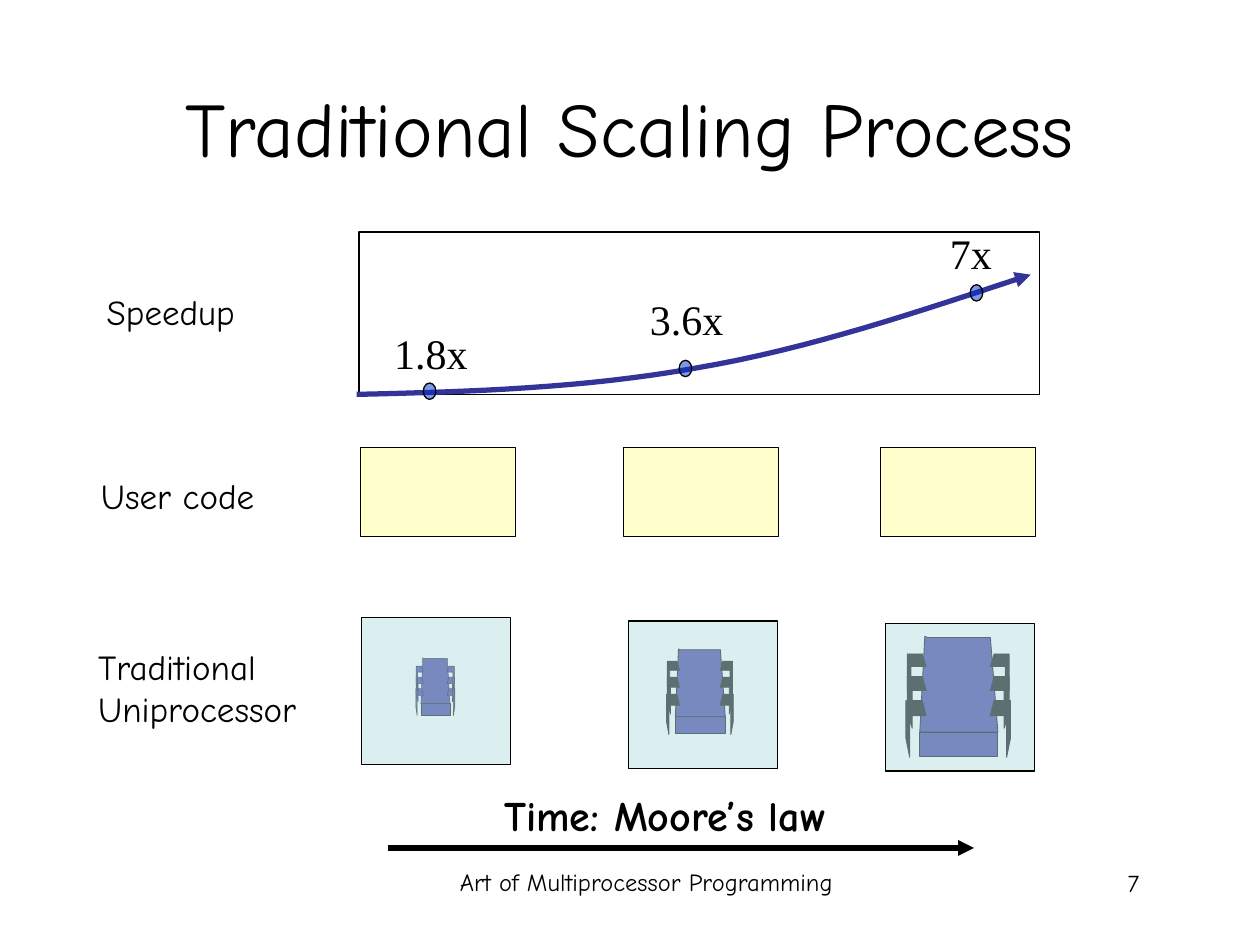
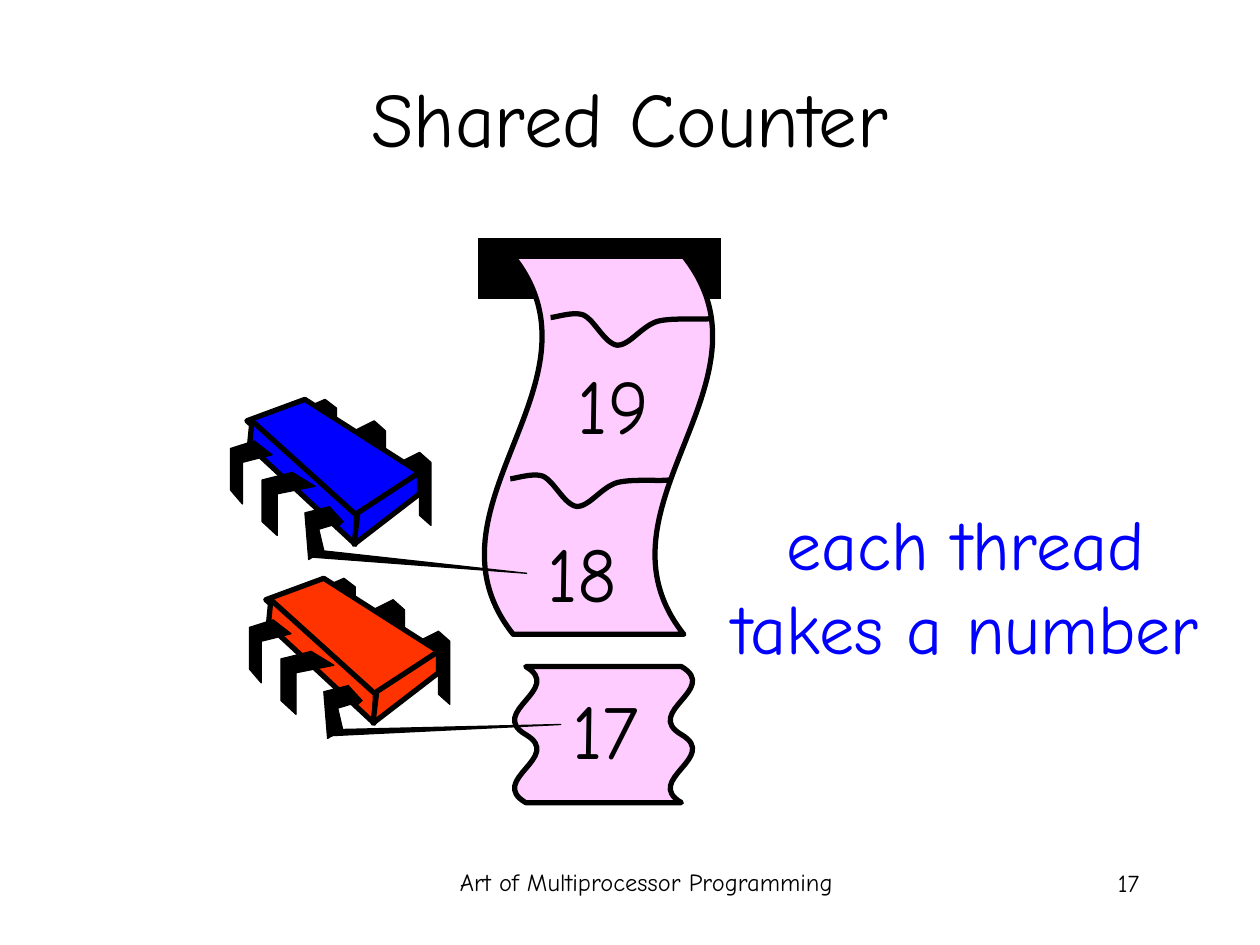
"""Build two slides: the traditional scaling process and a shared counter."""
from dataclasses import dataclass
from typing import Optional

import pptx
import pptx.dml.color
import pptx.enum.shapes
import pptx.enum.text
import pptx.oxml
import pptx.oxml.ns
import pptx.shapes.autoshape
import pptx.slide
import pptx.util

RGB = pptx.dml.color.RGBColor
SHAPES = pptx.enum.shapes.MSO_SHAPE
ALIGN = pptx.enum.text.PP_ALIGN
ANCHOR = pptx.enum.text.MSO_ANCHOR
AUTO_SIZE = pptx.enum.text.MSO_AUTO_SIZE

EMU_PER_PX = 9144
BLACK = RGB(0x00, 0x00, 0x00)
WHITE = RGB(0xFF, 0xFF, 0xFF)
BLUE = RGB(0x00, 0x00, 0xFF)
ORANGE = RGB(0xFF, 0x33, 0x00)
INDIGO = RGB(0x33, 0x33, 0x99)
MARKER_BLUE = RGB(0x00, 0x33, 0xCC)
CODE_YELLOW = RGB(0xFF, 0xFF, 0xCC)
PANEL_TEAL = RGB(0xBB, 0xE0, 0xE3)
TICKET_PINK = RGB(0xFF, 0xCC, 0xFF)
FONT = "Comic Neue"
SPEEDUP_FONT = "Times New Roman"
THIN, THICK = 0.75, 3

Point = tuple[float, float]
Frame = tuple[int, int, int, int]


@dataclass(frozen=True)
class Label:
    """Text in a frame; a line break starts a new paragraph."""
    text: str
    frame: Frame
    size: int
    align: ALIGN = ALIGN.CENTER
    color: RGB = BLACK
    font: str = FONT
    bold: bool = False
    wrap: bool = False
    grow: bool = True
    anchor: ANCHOR = ANCHOR.TOP


@dataclass(frozen=True)
class Paint:
    """Fill and outline of a shape."""
    fill: Optional[RGB] = None
    alpha: int = 100
    line: RGB = BLACK
    width: float = THIN


@dataclass(frozen=True)
class Stage:
    """One step of the scaling process, from speedup down to processor."""
    speedup: Label
    marker: Point
    code_left: int
    panel: Point
    chip: Frame
    leg_color: RGB
    chip_line: float


@dataclass(frozen=True)
class Thread:
    """A processor that reaches for a ticket."""
    shift: Point
    color: RGB
    arm_tip: Point


STAGES = (
    Stage(Label("1.8x", (303, 255, 78, 50), 24, font=SPEEDUP_FONT), (336, 304), 286,
          (287, 490), (330, 522, 31, 46), INDIGO, 0.25),
    Stage(Label("3.6x", (506, 228, 78, 50), 24, font=SPEEDUP_FONT), (539, 286), 495,
          (499, 493), (529, 515, 53, 68), BLACK, 0.5),
    Stage(Label("7x", (744, 176, 53, 50), 24, font=SPEEDUP_FONT), (770, 226), 699,
          (703, 495), (719, 505, 83, 96), BLACK, 0.5),
)
SCALING_LABELS = (
    Label("Speedup", (70, 226, 131, 43), 20),
    Label("User code", (65, 372, 152, 43), 20),
    Label("Traditional\nUniprocessor", (68, 507, 201, 77), 20, ALIGN.LEFT, wrap=True),
    Label("Time: Moore’s law", (371, 622, 314, 50), 24, bold=True),
)
SPEEDUP_CURVE = ((283, 313), (374, 311), (464, 308), (553, 292), (642, 277), (730, 247), (818, 218))

CHIP_SIZE = (83, 96)
CHIP_BODY = ((17, 1), (67, 1), (73, 76), (11, 76), (15, 0))
CHIP_BASE = ((11, 76), (73, 76), (73, 95), (11, 95))
CHIP_LEGS = (
    ((70, 51), (83, 51), (83, 81), (80, 96), (80, 63), (67, 63)),
    ((70, 32), (82, 32), (82, 60), (78, 73), (78, 43), (67, 43)),
    ((70, 14), (82, 14), (82, 42), (79, 55), (79, 24), (67, 24)),
)

FAR_PIN_SIZE = (25, 58)
FAR_PIN = ((0, 8), (16, 0), (25, 8), (25, 58), (16, 50), (16, 16), (0, 25))
FAR_PIN_FRAMES = ((317, 359, 25, 58), (281, 334, 25, 58), (242, 317, 25, 50))
NEAR_PIN_SIZE = (42, 50)
NEAR_PIN = ((24, 0), (42, 11), (12, 17), (12, 50), (0, 39), (0, 6))
NEAR_PIN_FRAMES = ((208, 375, 42, 50), (183, 350, 33, 50))
THREAD_FACES = (
    ((242, 317), (333, 375), (282, 410), (196, 334)),
    ((200, 334), (283, 409), (282, 432), (198, 354)),
    ((333, 375), (333, 392), (281, 432), (284, 407)),
)
ARM_BASE = ((245, 442), (255, 437))
HAND = ((262, 402), (242, 407), (245, 444), (257, 437), (253, 420), (273, 414))
THREADS = (Thread((0, 0), BLUE, (418, 455)), Thread((15, 142), ORANGE, (445, 575)))

TEAR = ((437, 252), (441, 252), (455, 247), (463, 250), (472, 254), (480, 273), (490, 274),
        (500, 274), (509, 259), (522, 255), (534, 252), (555, 254), (563, 253))
TEAR_SHIFTS = ((0, 0), (-32, 128))
COUNTER_LABELS = (
    Label("17", (432, 537, 85, 83), 44, ALIGN.RIGHT),
    Label("18", (415, 412, 85, 83), 44, ALIGN.RIGHT),
    Label("19", (440, 279, 85, 83), 44, ALIGN.RIGHT),
)
CALLOUT = Label("each thread takes a number", (550, 392, 433, 143), 40, color=BLUE, wrap=True)


def px(length: float) -> int:
    """Turn px into EMU."""
    return round(length * EMU_PER_PX)


def moved(points: tuple[Point, ...], shift: Point) -> list[Point]:
    """Shift points by an offset."""
    return [(x + shift[0], y + shift[1]) for x, y in points]


def fitted(points: tuple[Point, ...], size: Point, frame: Frame) -> list[Point]:
    """Scale an outline of a given size into a frame."""
    left, top, width, height = frame
    return [(left + x * width / size[0], top + y * height / size[1]) for x, y in points]


def smoothed(knots: list[Point], steps: int = 16) -> list[Point]:
    """Sample a chain of cubic curves."""
    points = [knots[0]]
    for start in range(0, len(knots) - 1, 3):
        for step in range(1, steps + 1):
            t = step / steps
            weights = ((1 - t) ** 3, 3 * t * (1 - t) ** 2, 3 * t * t * (1 - t), t ** 3)
            curve = knots[start:start + 4]
            points.append(tuple(sum(w * knot[axis] for w, knot in zip(weights, curve))
                                for axis in (0, 1)))
    return points


def add_child(parent, tag: str, **attributes: str) -> None:
    """Append a drawing element to a parent."""
    child = pptx.oxml.parse_xml(f"<a:{tag} {pptx.oxml.ns.nsdecls('a')}/>")
    for name, value in attributes.items():
        child.set(name, value)
    parent.append(child)


def add_arrowhead(shape) -> None:
    """Put a triangle at the end of a line."""
    add_child(shape.line._get_or_add_ln(), "tailEnd", type="triangle")


def paint_shape(shape: pptx.shapes.autoshape.Shape, paint: Paint) -> None:
    """Set fill, outline and shadow."""
    shape.shadow.inherit = False
    shape.line.color.rgb = paint.line
    shape.line.width = pptx.util.Pt(paint.width)
    if paint.fill is None:
        shape.fill.background()
        return
    shape.fill.solid()
    shape.fill.fore_color.rgb = paint.fill
    if paint.alpha < 100:
        color = shape._element.spPr.find(".//" + pptx.oxml.ns.qn("a:srgbClr"))
        add_child(color, "alpha", val=str(paint.alpha * 1000))


def add_preset(page: pptx.slide.Slide, kind: SHAPES, frame: Frame,
               paint: Paint) -> pptx.shapes.autoshape.Shape:
    """Draw a preset shape."""
    shape = page.shapes.add_shape(kind, *map(px, frame))
    paint_shape(shape, paint)
    return shape


def add_outline(page: pptx.slide.Slide, points: list[Point], paint: Paint,
                close: bool = True) -> pptx.shapes.autoshape.Shape:
    """Draw a freeform through points."""
    corners = [(px(x), px(y)) for x, y in points]
    builder = page.shapes.build_freeform(*corners[0])
    builder.add_line_segments(corners[1:], close=close)
    shape = builder.convert_to_shape()
    paint_shape(shape, paint)
    return shape


def add_label(page: pptx.slide.Slide, label: Label) -> None:
    """Draw a text box."""
    frame = page.shapes.add_textbox(*map(px, label.frame)).text_frame
    frame.word_wrap = label.wrap
    frame.auto_size = AUTO_SIZE.SHAPE_TO_FIT_TEXT if label.grow else AUTO_SIZE.NONE
    frame.vertical_anchor = label.anchor
    for index, line in enumerate(label.text.split("\n")):
        para = frame.add_paragraph() if index else frame.paragraphs[0]
        para.alignment = label.align
        span = para.add_run()
        span.text = line
        span.font.name = label.font
        span.font.size = pptx.util.Pt(label.size)
        span.font.bold = label.bold
        span.font.color.rgb = label.color


def add_page(deck, title: str, title_frame: Frame, number: int) -> pptx.slide.Slide:
    """Add a blank page with footer, number and title."""
    page = deck.slides.add_slide(deck.slide_layouts[6])
    for label in (
        Label("Art of Multiprocessor Programming", (342, 683, 342, 52), 14, wrap=True, grow=False),
        Label(str(number), (706, 684, 208, 50), 14, ALIGN.RIGHT, wrap=True, grow=False),
        Label(title, title_frame, 44, wrap=True, grow=False, anchor=ANCHOR.MIDDLE),
    ):
        add_label(page, label)
    return page


def add_chip(page: pptx.slide.Slide, stage: Stage) -> None:
    """Draw a processor seen from above, with mirrored legs."""
    body = Paint(INDIGO, width=stage.chip_line)
    legs = Paint(stage.leg_color, width=stage.chip_line)
    for part in (CHIP_BASE, CHIP_BODY):
        add_outline(page, fitted(part, CHIP_SIZE, stage.chip), body)
    for leg in CHIP_LEGS:
        mirrored = tuple((CHIP_SIZE[0] - x, y) for x, y in leg)
        for side in (leg, mirrored):
            add_outline(page, fitted(side, CHIP_SIZE, stage.chip), legs)


def add_thread(page: pptx.slide.Slide, thread: Thread) -> None:
    """Draw a processor with pins and a reaching arm."""
    black = Paint(BLACK)
    for frame in FAR_PIN_FRAMES:
        add_outline(page, moved(fitted(FAR_PIN, FAR_PIN_SIZE, frame), thread.shift), black)
    for face in THREAD_FACES:
        add_outline(page, moved(face, thread.shift), Paint(thread.color, width=THICK))
    for frame in NEAR_PIN_FRAMES:
        add_outline(page, moved(fitted(NEAR_PIN, NEAR_PIN_SIZE, frame), thread.shift), black)
    lower, upper = moved(ARM_BASE, thread.shift)
    add_outline(page, [lower, thread.arm_tip, upper], black, close=False)
    add_arrowhead(add_outline(page, moved(HAND, thread.shift), black, close=False))


def build_scaling(deck) -> None:
    """Build the scaling process page."""
    page = add_page(deck, "Traditional Scaling Process", (75, 38, 850, 125), 7)
    for stage in STAGES:
        add_preset(page, SHAPES.RECTANGLE, (stage.code_left, 355, 123, 71), Paint(CODE_YELLOW))
    add_preset(page, SHAPES.RECTANGLE, (285, 184, 540, 129), Paint(WHITE, 50))
    curve = Paint(line=INDIGO, width=THICK)
    add_arrowhead(add_outline(page, smoothed(list(SPEEDUP_CURVE)), curve, close=False))
    for stage in STAGES:
        add_preset(page, SHAPES.OVAL, (*stage.marker, 10, 13), Paint(MARKER_BLUE, 50))
        add_label(page, stage.speedup)
    time_arrow = page.shapes.add_connector(
        pptx.enum.shapes.MSO_CONNECTOR.STRAIGHT, *map(px, (308, 673, 773, 673)))
    time_arrow.line.color.rgb = BLACK
    time_arrow.line.width = pptx.util.Pt(THICK)
    add_arrowhead(time_arrow)
    add_child(time_arrow._element.spPr, "effectLst")
    for label in SCALING_LABELS:
        add_label(page, label)
    for stage in STAGES:
        add_chip(page, stage)
        add_preset(page, SHAPES.RECTANGLE, (*stage.panel, 118, 117), Paint(PANEL_TEAL, 50))


def build_counter(deck) -> None:
    """Build the shared counter page."""
    page = add_page(deck, "Shared Counter", (50, 30, 900, 125), 17)
    add_preset(page, SHAPES.RECTANGLE, (380, 189, 192, 48), Paint(BLACK))
    for kind, frame, bend in ((SHAPES.WAVE, (325, 262, 300, 183), 0.13),
                              (SHAPES.DOUBLE_WAVE, (425, 512, 108, 142), 0.065)):
        ticket = add_preset(page, kind, frame, Paint(TICKET_PINK, width=THICK))
        ticket.rotation = 90
        ticket.adjustments[0] = bend
        ticket.adjustments[1] = 0
    for label in COUNTER_LABELS:
        add_label(page, label)
    for shift in TEAR_SHIFTS:
        add_outline(page, smoothed(moved(TEAR, shift)), Paint(width=THICK), close=False)
    add_label(page, CALLOUT)
    for thread in THREADS:
        add_thread(page, thread)


def main() -> None:
    """Build and save the deck."""
    deck = pptx.Presentation()
    deck.slide_width, deck.slide_height = px(1000), px(750)
    build_scaling(deck)
    build_counter(deck)
    deck.save("out.pptx")


if __name__ == "__main__":
    main()
